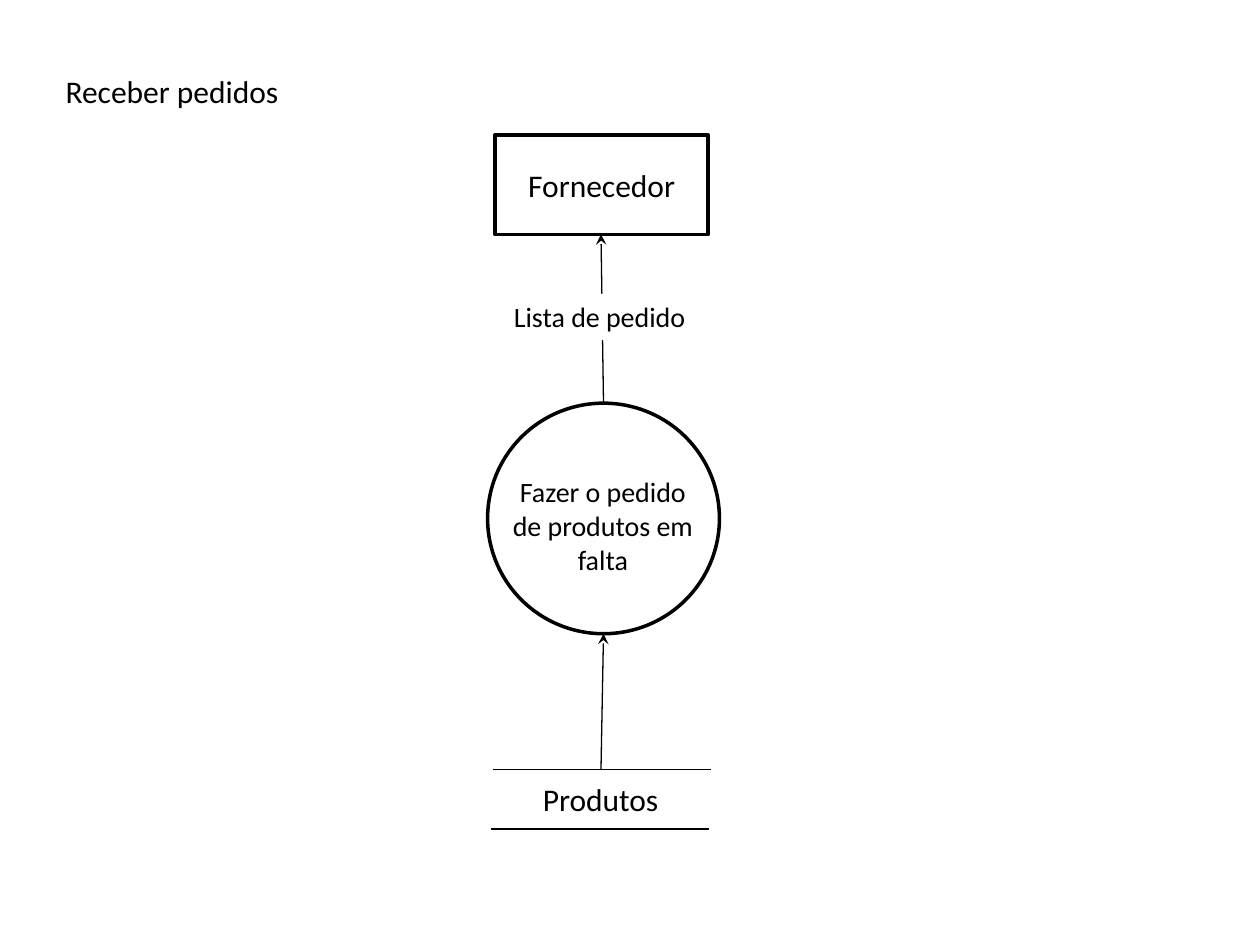
from dataclasses import dataclass
from typing import Optional

import pptx
import pptx.dml.color
import pptx.enum.shapes
import pptx.enum.text
import pptx.oxml
import pptx.oxml.ns
import pptx.util

Inches = pptx.util.Inches
Shape = pptx.enum.shapes.MSO_SHAPE
Align = pptx.enum.text.PP_ALIGN
Anchor = pptx.enum.text.MSO_ANCHOR

BLACK = pptx.dml.color.RGBColor(0x00, 0x00, 0x00)
WHITE = pptx.dml.color.RGBColor(0xFF, 0xFF, 0xFF)
FONT = "Calibri"
DRAWING = pptx.oxml.ns.nsdecls("a")


@dataclass(frozen=True)
class Node:
    left: float
    top: float
    width: float
    height: float
    text: str = ""
    size: int = 18
    align: Align = Align.LEFT
    anchor: Anchor = Anchor.TOP
    shape: Optional[Shape] = None
    border: float = 0


@dataclass(frozen=True)
class Flow:
    start: tuple[float, float]
    end: tuple[float, float]
    arrow: bool = False


TITLE = Node(0.42, 0.52, 1.98, 0.4, "Receber pedidos")
SUPPLIER = Node(3.93, 1.07, 1.69, 0.79, "Fornecedor", align=Align.CENTER,
                anchor=Anchor.MIDDLE, shape=Shape.RECTANGLE, border=2)
PROCESS = Node(3.87, 3.2, 1.84, 1.83, shape=Shape.OVAL, border=2)
PROCESS_LABEL = Node(3.95, 3.72, 1.67, 0.91, "Fazer o pedido de produtos em falta",
                     size=16, align=Align.CENTER)
ORDER_LABEL = Node(3.98, 2.33, 1.75, 0.37, "Lista de pedido", size=16,
                   shape=Shape.RECTANGLE)
STORE_LABEL = Node(4.21, 6.14, 1.26, 0.4, "Produtos")

STORE_TOP = Flow((3.91, 6.11), (5.64, 6.11))
STORE_BOTTOM = Flow((3.9, 6.58), (5.63, 6.58))
ORDER_FLOW = Flow((4.79, 3.2), (4.77, 1.86), arrow=True)
STOCK_FLOW = Flow((4.77, 6.11), (4.79, 5.03), arrow=True)


def write_text(box, node: Node) -> None:
    frame = box.text_frame
    frame.word_wrap = True
    frame.auto_size = pptx.enum.text.MSO_AUTO_SIZE.NONE
    frame.vertical_anchor = node.anchor
    frame.margin_left = frame.margin_right = Inches(0.1)
    frame.margin_top = frame.margin_bottom = Inches(0.05)
    para = frame.paragraphs[0]
    para.alignment = node.align
    span = para.add_run()
    span.text = node.text
    span.font.name = FONT
    span.font.size = pptx.util.Pt(node.size)
    span.font.color.rgb = BLACK


def draw_title(page, node: Node) -> None:
    title = page.shapes.title
    title.left, title.top = Inches(node.left), Inches(node.top)
    title.width, title.height = Inches(node.width), Inches(node.height)
    write_text(title, node)


def draw_node(page, node: Node) -> None:
    place = [Inches(value) for value in (node.left, node.top, node.width, node.height)]
    if node.shape is None:
        box = page.shapes.add_textbox(*place)
    else:
        box = page.shapes.add_shape(node.shape, *place)
        box.shadow.inherit = False
        box.fill.solid()
        box.fill.fore_color.rgb = WHITE
        if node.border:
            box.line.color.rgb = BLACK
            box.line.width = pptx.util.Pt(node.border)
        else:
            box.line.fill.background()
    if node.text:
        write_text(box, node)


def draw_flow(page, flow: Flow) -> None:
    ends = [Inches(value) for value in flow.start + flow.end]
    line = page.shapes.add_connector(pptx.enum.shapes.MSO_CONNECTOR.STRAIGHT, *ends)
    line.line.color.rgb = BLACK
    line.line.width = pptx.util.Pt(0.75)
    properties = line._element.spPr
    if flow.arrow:
        outline = properties.find(pptx.oxml.ns.qn("a:ln"))
        outline.append(pptx.oxml.parse_xml(f'<a:tailEnd {DRAWING} type="stealth"/>'))
    properties.append(pptx.oxml.parse_xml(f"<a:effectLst {DRAWING}/>"))


def main() -> None:
    deck = pptx.Presentation()
    deck.slide_width, deck.slide_height = Inches(10), Inches(7.5)
    page = deck.slides.add_slide(deck.slide_layouts.get_by_name("Title Only"))
    draw_title(page, TITLE)
    for item in (STORE_TOP, STORE_BOTTOM, SUPPLIER, PROCESS, PROCESS_LABEL,
                 ORDER_FLOW, ORDER_LABEL, STOCK_FLOW, STORE_LABEL):
        if isinstance(item, Flow):
            draw_flow(page, item)
        else:
            draw_node(page, item)
    deck.save("out.pptx")


if __name__ == "__main__":
    main()
